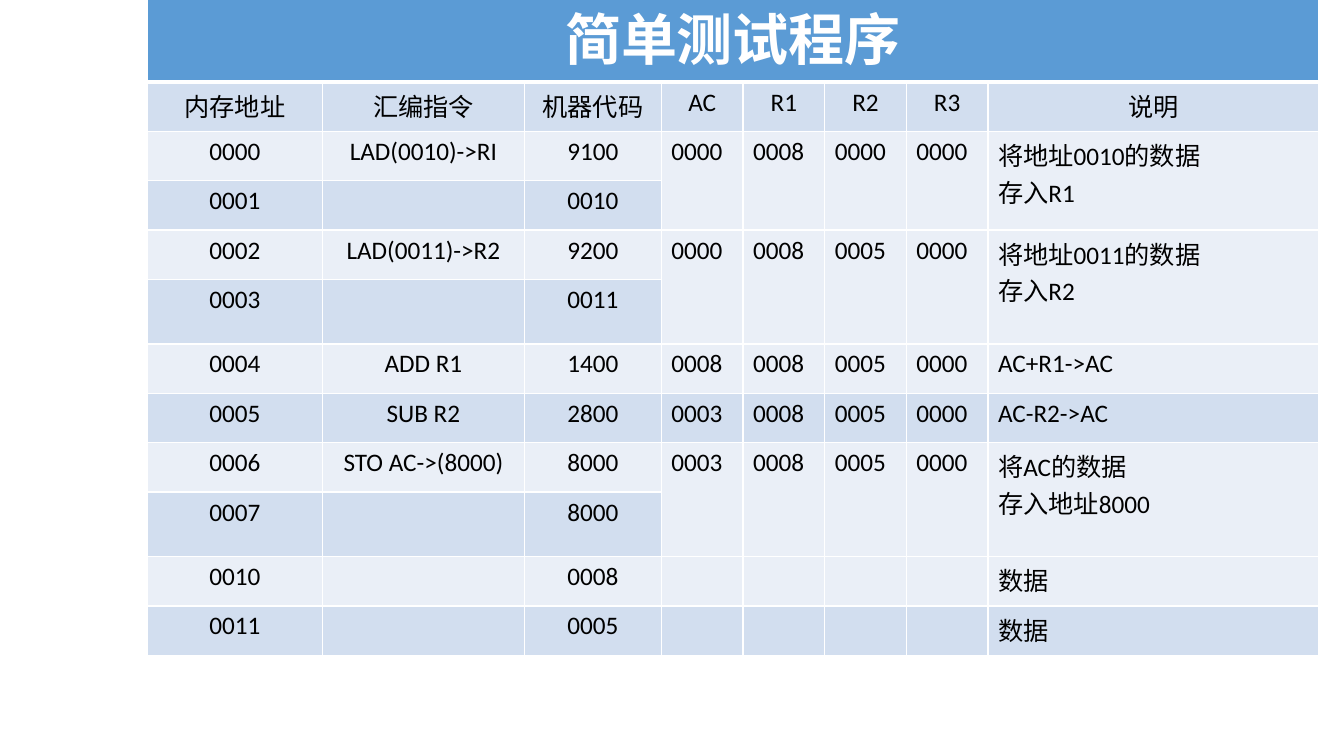
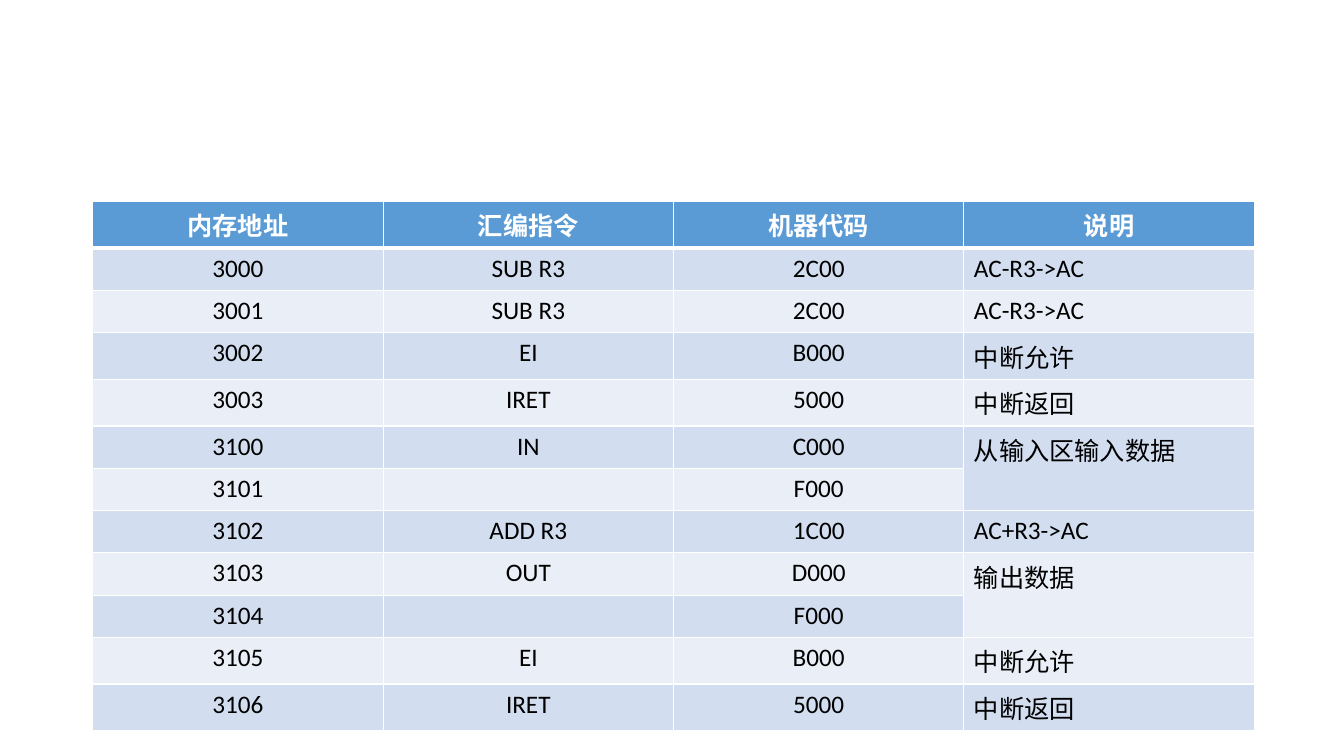
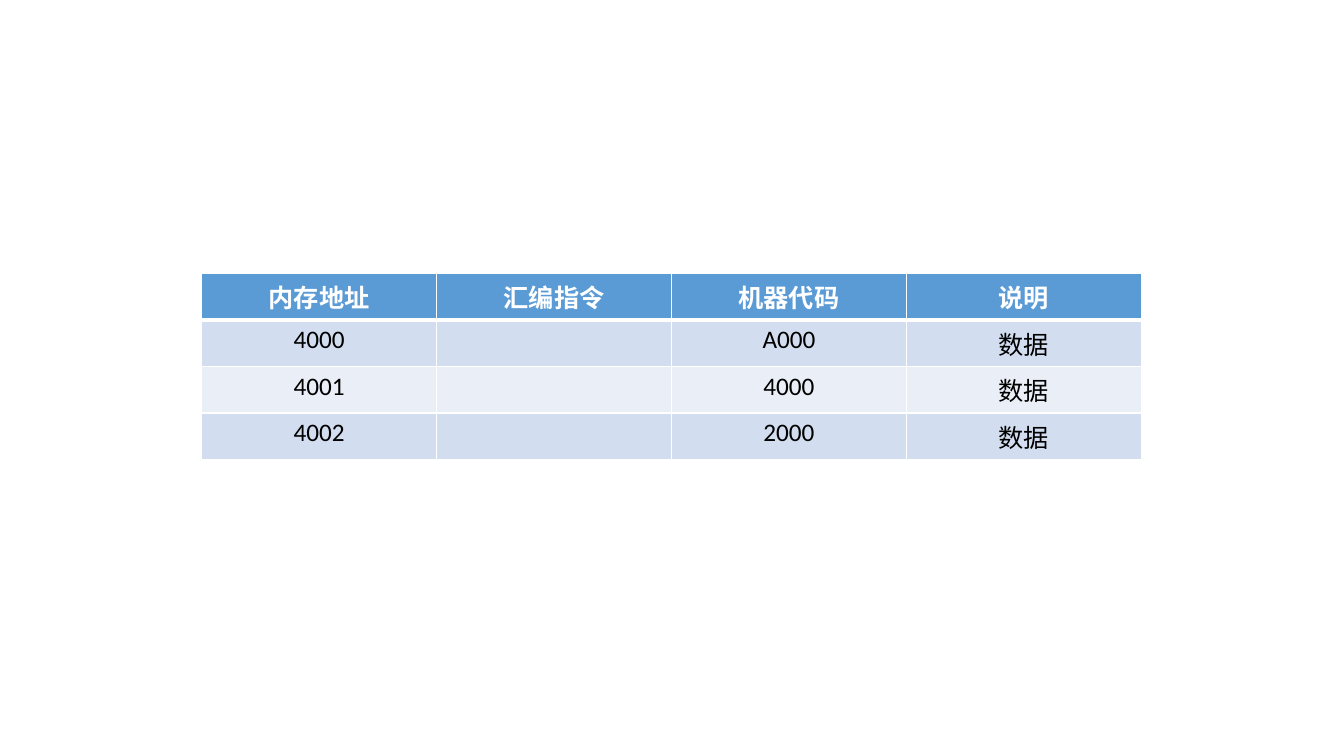
from lxml import etree
from pptx import Presentation
from pptx.dml.color import RGBColor
from pptx.enum.text import PP_ALIGN
from pptx.oxml.ns import qn
from pptx.util import Inches, Pt

FONT = "Calibri"
WHITE = "FFFFFF"
BLACK = "000000"
HEADER_BLUE = "5B9BD5"
BANDS = ("EAEFF7", "D2DEEF")
HEADINGS = ("内存地址", "汇编指令", "机器代码", "说明")

TEST_PROGRAM = [
    ("简单测试程序",),
    HEADINGS[:3] + ("AC", "R1", "R2", "R3") + HEADINGS[3:],
    ("0000", "LAD(0010)->RI", "9100", "0000", "0008", "0000", "0000", "将地址0010的数据\n存入R1"),
    ("0001", "", "0010"),
    ("0002", "LAD(0011)->R2", "9200", "0000", "0008", "0005", "0000", "将地址0011的数据\n存入R2"),
    ("0003", "", "0011"),
    ("0004", "ADD R1", "1400", "0008", "0008", "0005", "0000", "AC+R1->AC"),
    ("0005", "SUB R2", "2800", "0003", "0008", "0005", "0000", "AC-R2->AC"),
    ("0006", "STO AC->(8000)", "8000", "0003", "0008", "0005", "0000", "将AC的数据\n存入地址8000"),
    ("0007", "", "8000"),
    ("0010", "", "0008", "", "", "", "", "数据"),
    ("0011", "", "0005", "", "", "", "", "数据"),
]
INTERRUPT_PROGRAM = [
    HEADINGS,
    ("3000", "SUB R3", "2C00", "AC-R3->AC"),
    ("3001", "SUB R3", "2C00", "AC-R3->AC"),
    ("3002", "EI", "B000", "中断允许"),
    ("3003", "IRET", "5000", "中断返回"),
    ("3100", "IN", "C000", "从输入区输入数据"),
    ("3101", "", "F000"),
    ("3102", "ADD R3", "1C00", "AC+R3->AC"),
    ("3103", "OUT", "D000", "输出数据"),
    ("3104", "", "F000"),
    ("3105", "EI", "B000", "中断允许"),
    ("3106", "IRET", "5000", "中断返回"),
]
DATA_AREA = [
    HEADINGS,
    ("4000", "", "A000", "数据"),
    ("4001", "", "4000", "数据"),
    ("4002", "", "2000", "数据"),
]


def rgb(value):
    return RGBColor.from_string(value)


def add_borders(cell, is_header):
    widths = {"a:lnL": 1, "a:lnR": 1}
    if is_header:
        widths["a:lnT"] = 1
    widths["a:lnB"] = 3 if is_header else 1
    properties = cell._tc.get_or_add_tcPr()
    for side, width in widths.items():
        line = etree.SubElement(properties, qn(side), w=str(Pt(width)))
        fill = etree.SubElement(line, qn("a:solidFill"))
        etree.SubElement(fill, qn("a:srgbClr"), val=WHITE)


def fill_cell(cell, text, is_header, centred, size):
    cell.text_frame.text = text
    for paragraph in cell.text_frame.paragraphs:
        paragraph.alignment = PP_ALIGN.CENTER if centred else PP_ALIGN.LEFT
        paragraph.font.name = FONT
        paragraph.font.size = Pt(size)
        paragraph.font.bold = is_header
        paragraph.font.color.rgb = rgb(WHITE if is_header else BLACK)


def merge_short_row(table, row, filled, column_count):
    if row == 0 and filled < column_count:
        table.cell(0, 0).merge(table.cell(0, column_count - 1))
        return
    for column in range(filled, column_count):
        table.cell(row - 1, column).merge(table.cell(row, column))


def add_listing(slide, rows, left, top, widths, heights,
                centred_columns=3, heading_rows=1, header_size=18):
    frame = slide.shapes.add_table(
        len(rows), len(widths), Inches(left), Inches(top),
        Inches(sum(widths)), Inches(sum(heights)))
    table = frame.table
    for column, width in zip(table.columns, widths):
        column.width = Inches(width)
    for index, (texts, height) in enumerate(zip(rows, heights)):
        is_header = index == 0
        table.rows[index].height = Inches(height)
        for column in range(len(widths)):
            cell = table.cell(index, column)
            add_borders(cell, is_header)
            cell.fill.solid()
            cell.fill.fore_color.rgb = rgb(HEADER_BLUE if is_header else BANDS[index % 2])
            text = texts[column] if column < len(texts) else ""
            centred = index < heading_rows or column < centred_columns
            fill_cell(cell, text, is_header, centred, header_size if is_header else 18)
        merge_short_row(table, index, len(texts), len(widths))


def main():
    deck = Presentation()
    deck.slide_width, deck.slide_height = Inches(13.33), Inches(7.5)
    blank = deck.slide_layouts[6]
    test, interrupt, data = [deck.slides.add_slide(blank) for _ in range(3)]

    instruction_rows = [0.49] * 3 + [0.64]
    add_listing(test, TEST_PROGRAM, 1.46, -0.09,
                [1.74, 2, 1.36] + [0.81] * 4 + [3.28],
                [0.88, 0.49] + instruction_rows + [0.49] * 3 + [0.64] + [0.49] * 2,
                heading_rows=2, header_size=40)
    add_listing(interrupt, INTERRUPT_PROGRAM, 0.92, 2,
                [2.88] * 4, [0.42] * len(INTERRUPT_PROGRAM))
    add_listing(data, DATA_AREA, 2, 2.71,
                [2.33] * 4, [0.42] * len(DATA_AREA), centred_columns=4)
    deck.save("out.pptx")


main()
